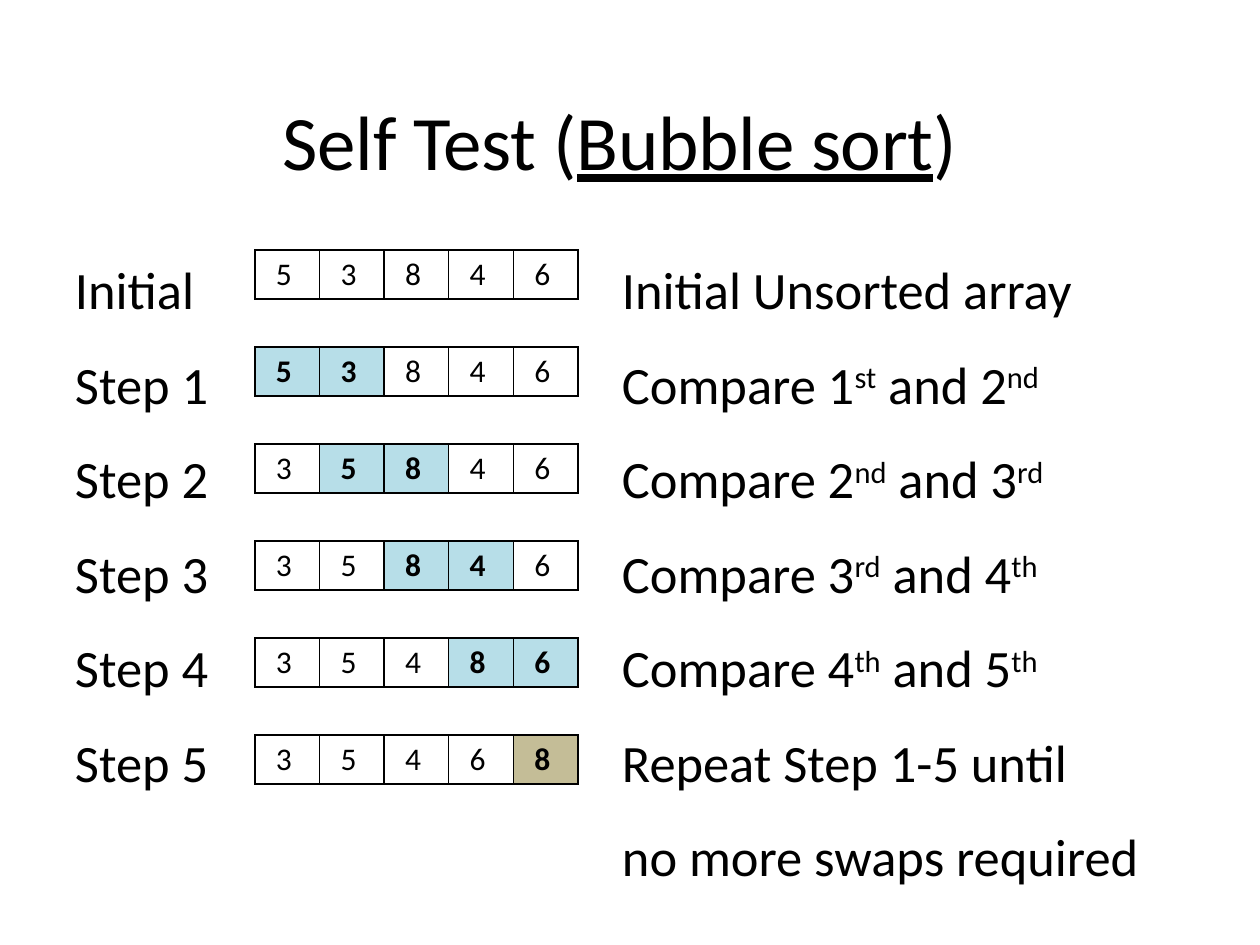
from dataclasses import dataclass

from lxml.etree import SubElement
from pptx import Presentation
from pptx.dml.color import RGBColor
from pptx.enum.text import MSO_ANCHOR
from pptx.oxml.ns import qn
from pptx.util import Emu, Pt

EMU_PER_PX = 914400 / 126


@dataclass(frozen=True)
class Theme:
    font: str = "Calibri"
    ink: str = "000000"
    compared: str = "B7DEE8"
    settled: str = "C4BD97"
    title_size: int = 44
    body_size: int = 30
    cell_size: int = 18


THEME = Theme()

# Label, note (marked pieces between bars are superscript)
LINES = [
    ("Initial", "Initial Unsorted array"),
    ("Step 1", "Compare 1|st| and 2|nd|"),
    ("Step 2", "Compare 2|nd| and 3|rd|"),
    ("Step 3", "Compare 3|rd| and 4|th|"),
    ("Step 4", "Compare 4|th| and 5|th|"),
    ("Step 5", "Repeat Step 1-5 until"),
    ("", "no more swaps required"),
]

# Array values, highlighted positions, highlight colour
ARRAYS = [
    ("53846", (), THEME.compared),
    ("53846", (0, 1), THEME.compared),
    ("35846", (1, 2), THEME.compared),
    ("35846", (2, 3), THEME.compared),
    ("35486", (3, 4), THEME.compared),
    ("35468", (4,), THEME.settled),
]


def px(length):
    return Emu(round(length * EMU_PER_PX))


def style(span, size, bold=False):
    span.font.name = THEME.font
    span.font.size = Pt(size)
    span.font.bold = bold
    span.font.color.rgb = RGBColor.from_string(THEME.ink)


def add_spans(para, text, size):
    """Split text at bars; return the spans that stood between bars."""
    spans = []
    for piece in text.split("|"):
        span = para.add_run()
        span.text = piece
        style(span, size)
        spans.append(span)
    return spans[1::2]


def add_frame(slide, box):
    frame = slide.shapes.add_textbox(*map(px, box)).text_frame
    frame.word_wrap = True
    frame.margin_left = frame.margin_right = 0
    frame.margin_top = frame.margin_bottom = 0
    return frame


def add_title(slide, box, indent):
    frame = add_frame(slide, box)
    frame.margin_left = px(indent)
    frame.vertical_anchor = MSO_ANCHOR.MIDDLE
    para = frame.paragraphs[0]
    for span in add_spans(para, "Self Test (|Bubble sort|)", THEME.title_size):
        span.font.underline = True
    for span in para.runs:
        span._r.get_or_add_rPr().set("spc", "-20")


def add_steps(slide, box, note_left):
    """Labels on the left, notes at a tab stop."""
    frame = add_frame(slide, box)
    for index, (label, note) in enumerate(LINES):
        para = frame.add_paragraph() if index else frame.paragraphs[0]
        para.line_spacing = 1.5
        tabs = SubElement(para._p.get_or_add_pPr(), qn("a:tabLst"))
        SubElement(tabs, qn("a:tab"), pos=str(px(note_left)), algn="l")
        for span in add_spans(para, f"{label}\t{note}", THEME.body_size):
            span._r.get_or_add_rPr().set("baseline", "30000")


def add_borders(cell):
    props = cell._tc.get_or_add_tcPr()
    for side in ("lnL", "lnR", "lnT", "lnB"):
        line = SubElement(props, qn(f"a:{side}"), w=str(Pt(1)))
        fill = SubElement(line, qn("a:solidFill"))
        SubElement(fill, qn("a:srgbClr"), val=THEME.ink)


def add_array(slide, box, values, marked, colour):
    table = slide.shapes.add_table(1, len(values), *map(px, box)).table
    table.first_row = table.horz_banding = False
    for index, value in enumerate(values):
        cell = table.cell(0, index)
        cell.text = value
        cell.vertical_anchor = MSO_ANCHOR.MIDDLE
        cell.margin_left = px(21)
        cell.margin_right = cell.margin_top = cell.margin_bottom = 0
        style(cell.text_frame.paragraphs[0].runs[0], THEME.cell_size, index in marked)
        add_borders(cell)
        if index in marked:
            cell.fill.solid()
            cell.fill.fore_color.rgb = RGBColor.from_string(colour)
        else:
            cell.fill.background()


def add_arrays(slide, box, pitch):
    """One array per step, stacked at an equal pitch."""
    left, top, width, height = box
    for index, array in enumerate(ARRAYS):
        add_array(slide, (left, top + index * pitch, width, height), *array)


def main():
    deck = Presentation()
    deck.slide_width, deck.slide_height = px(1260), px(945)
    slide = deck.slides.add_slide(deck.slide_layouts[6])
    add_title(slide, (44, 66, 1172, 147), indent=239)
    add_steps(slide, (75, 226, 1185, 719), note_left=547)
    add_arrays(slide, (255, 250, 323, 49), pitch=97)
    deck.save("out.pptx")


if __name__ == "__main__":
    main()
